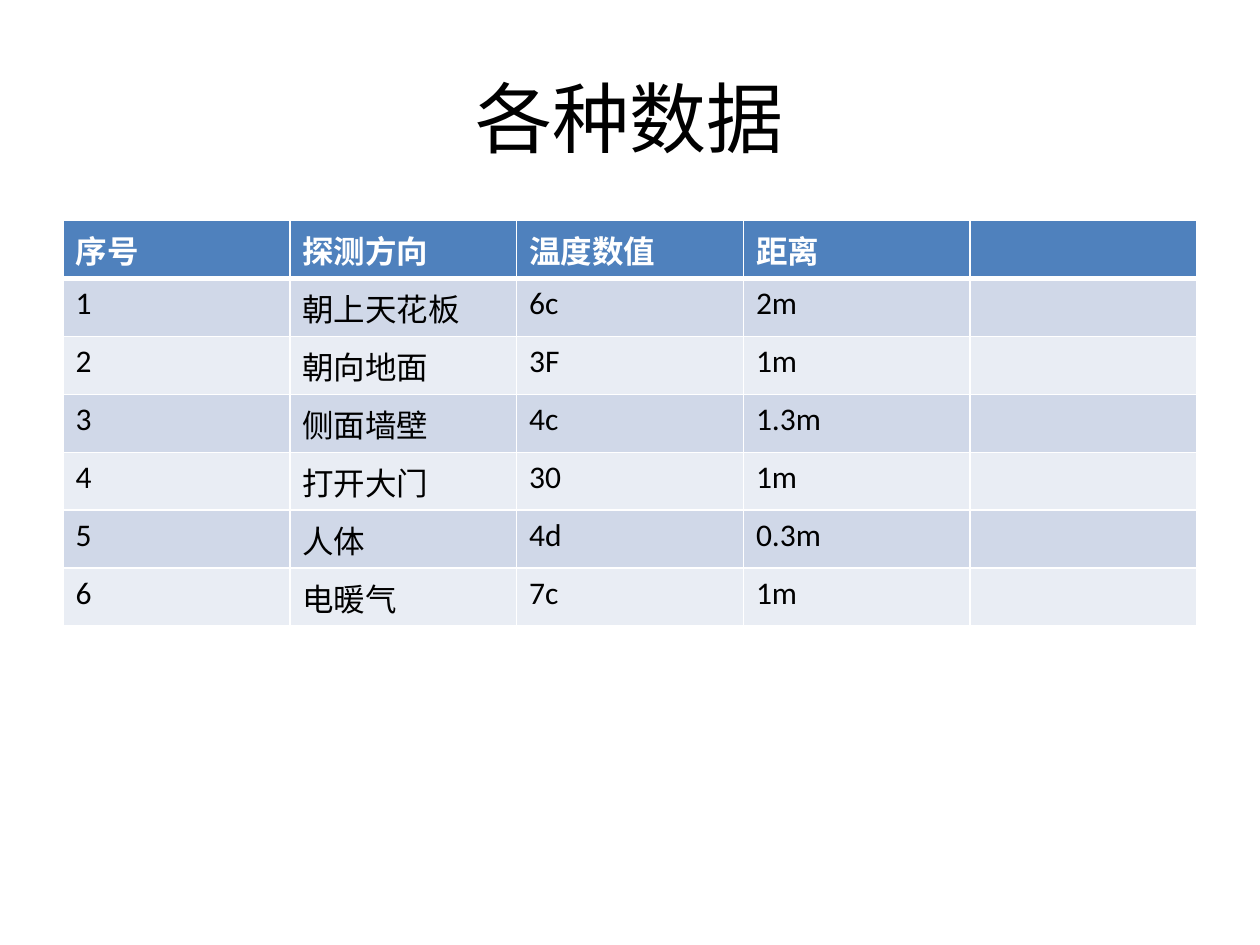
import pptx
import pptx.dml.color
import pptx.enum.text
import pptx.oxml
import pptx.oxml.ns
import pptx.util
from pptx.dml.color import RGBColor
from pptx.util import Inches

BLACK = RGBColor(0x00, 0x00, 0x00)
WHITE = RGBColor(0xFF, 0xFF, 0xFF)
HEADER_BLUE = RGBColor(0x4F, 0x81, 0xBD)
BAND_DARK = RGBColor(0xD0, 0xD8, 0xE8)
BAND_LIGHT = RGBColor(0xE9, 0xED, 0xF4)

READINGS = [
    ("序号", "探测方向", "温度数值", "距离", ""),
    ("1", "朝上天花板", "6c", "2m", ""),
    ("2", "朝向地面", "3F", "1m", ""),
    ("3", "侧面墙壁", "4c", "1.3m", ""),
    ("4", "打开大门", "30", "1m", ""),
    ("5", "人体", "4d", "0.3m", ""),
    ("6", "电暖气", "7c", "1m", ""),
]


def write_text(text_frame, text, *, font, size, color, bold=False, align=None):
    paragraph = text_frame.paragraphs[0]
    paragraph.alignment = align
    paragraph.font.size = pptx.util.Pt(size)
    if text:
        run = paragraph.add_run()
        run.text = text
        run.font.name = font
        run.font.size = pptx.util.Pt(size)
        run.font.bold = bold
        run.font.color.rgb = color


def set_borders(cell, color, widths):
    """Draw the cell's borders; widths maps L, R, T, B (in this order) to points."""
    properties = cell._tc.get_or_add_tcPr()
    for side, width in widths.items():
        properties.append(pptx.oxml.parse_xml(
            f'<a:ln{side} {pptx.oxml.ns.nsdecls("a")} w="{pptx.util.Pt(width)}">'
            f'<a:solidFill><a:srgbClr val="{color}"/></a:solidFill></a:ln{side}>'))


class SlideBuilder:
    font = "Calibri"
    title_size = 44
    table_size = 18

    def __init__(self, slide):
        self.slide = slide

    def add_title(self, text, left, top, width, height):
        shape = self.slide.shapes.add_textbox(left, top, width, height)
        text_frame = shape.text_frame
        text_frame.word_wrap = True
        text_frame.vertical_anchor = pptx.enum.text.MSO_ANCHOR.MIDDLE
        write_text(text_frame, text, font=self.font, size=self.title_size,
                   color=BLACK, align=pptx.enum.text.PP_ALIGN.CENTER)

    def add_table(self, rows, left, top, width, row_height):
        table = self.slide.shapes.add_table(
            len(rows), len(rows[0]), left, top, width, row_height * len(rows)).table
        for row_index, row in enumerate(rows):
            is_header = row_index == 0
            if is_header:
                fill = HEADER_BLUE
            else:
                fill = BAND_DARK if row_index % 2 else BAND_LIGHT
            # The line under the header is thicker than the others
            widths = {"L": 1, "R": 1, "T": 3 if row_index == 1 else 1,
                      "B": 3 if is_header else 1}
            for column_index, text in enumerate(row):
                cell = table.cell(row_index, column_index)
                set_borders(cell, WHITE, widths)
                cell.fill.solid()
                cell.fill.fore_color.rgb = fill
                write_text(cell.text_frame, text, font=self.font,
                           size=self.table_size, bold=is_header,
                           color=WHITE if is_header else BLACK)


def main():
    presentation = pptx.Presentation()
    presentation.slide_width = Inches(10)
    presentation.slide_height = Inches(7.5)
    builder = SlideBuilder(presentation.slides.add_slide(presentation.slide_layouts[6]))

    # Title
    builder.add_title("各种数据", Inches(0.5), Inches(0.3), Inches(9), Inches(1.25))

    # Table of readings
    builder.add_table(READINGS, Inches(0.5), Inches(1.75), Inches(9), Inches(0.46))

    presentation.save("out.pptx")


if __name__ == "__main__":
    main()
